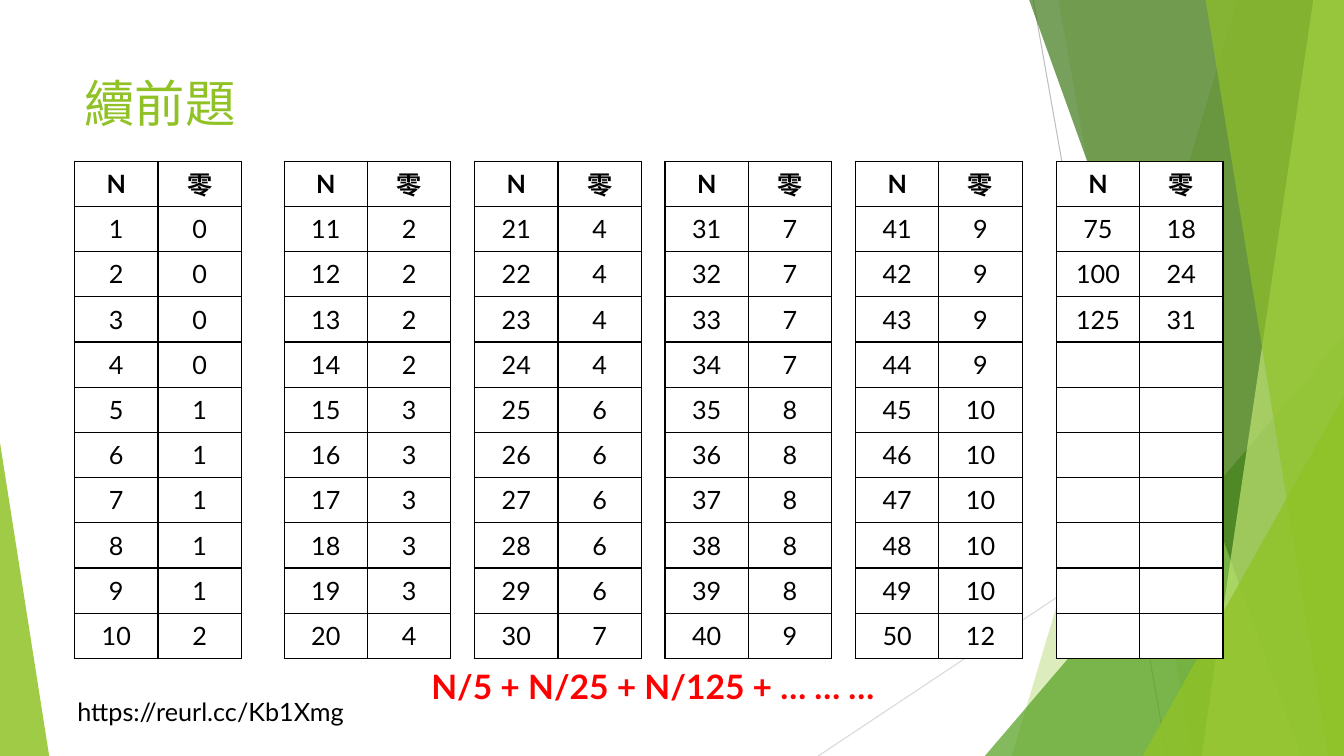
"""Build a slide of trailing zero counts of N factorial."""
from pptx import Presentation
from pptx.dml.color import RGBColor
from pptx.enum.shapes import MSO_CONNECTOR, MSO_SHAPE
from pptx.enum.text import MSO_ANCHOR, PP_ALIGN
from pptx.oxml.ns import qn
from pptx.util import Cm, Pt
from lxml import etree

STRAIGHT = MSO_CONNECTOR.STRAIGHT
TRIANGLE = MSO_SHAPE.ISOSCELES_TRIANGLE
MIDDLE = MSO_ANCHOR.MIDDLE
CENTER = PP_ALIGN.CENTER

BLACK = RGBColor(0x00, 0x00, 0x00)
WHITE = RGBColor(0xFF, 0xFF, 0xFF)
RED = RGBColor(0xFF, 0x00, 0x00)
GRAY = RGBColor(0xBF, 0xBF, 0xBF)
LIGHT_GRAY = RGBColor(0xD9, 0xD9, 0xD9)
GREEN = RGBColor(0x90, 0xC2, 0x26)
MID_GREEN = RGBColor(0x54, 0xA0, 0x21)
DARK_GREEN = RGBColor(0x3F, 0x78, 0x19)
PALE_GREEN = RGBColor(0xC0, 0xE4, 0x74)

WIDTH, HEIGHT = 33.87, 19.05
TABLE_TOP, COLUMN_WIDTH, ROW_HEIGHT = 4.06, 2.1, 1.14
ROWS = 11


class Page:
    def __init__(self, deck, font_name):
        self.shapes = deck.slides.add_slide(deck.slide_layouts[6]).shapes
        self.font_name = font_name

    def add_span(self, frame, text, size, color, bold=False):
        para = frame.paragraphs[0]
        span = para.add_run()
        span.text = text
        formats = {"name": self.font_name, "size": Pt(size), "bold": bold}
        for name, value in formats.items():
            setattr(span.font, name, value)
        span.font.color.rgb = color
        return para

    def text(self, left, top, width, height, text, size, color, bold=False):
        box = self.shapes.add_textbox(Cm(left), Cm(top), Cm(width), Cm(height))
        box.text_frame.word_wrap = True
        self.add_span(box.text_frame, text, size, color, bold)

    def line(self, start, end, color):
        points = [Cm(value) for value in (*start, *end)]
        line = self.shapes.add_connector(STRAIGHT, *points)
        line.line.color.rgb = color
        line.line.width = Pt(0.75)
        etree.SubElement(line.element.spPr, qn("a:effectLst"))

    def tint(self, shape, color, opacity):
        shape.shadow.inherit = False
        shape.fill.solid()
        shape.fill.fore_color.rgb = color
        shape.line.fill.background()
        tone = shape.element.spPr.find(".//" + qn("a:srgbClr"))
        etree.SubElement(tone, qn("a:alpha"), val=str(opacity * 1000))

    def band(self, top_left, bottom_left, color, opacity):
        top = Cm(-0.02)
        outline = self.shapes.build_freeform(Cm(top_left), top)
        corners = [(WIDTH, -0.02), (WIDTH, HEIGHT), (bottom_left, HEIGHT)]
        outline.add_line_segments([(Cm(x), Cm(y)) for x, y in corners])
        self.tint(outline.convert_to_shape(), color, opacity)

    def triangle(self, left, top, width, peak, color, opacity):
        shape = self.shapes.add_shape(
            TRIANGLE, Cm(left), Cm(top), Cm(width), Cm(HEIGHT - top))
        shape.adjustments[0] = peak
        self.tint(shape, color, opacity)

    def cell(self, cell, text, bold):
        formats = {"vertical_anchor": MIDDLE,
                   "margin_top": Cm(0.05), "margin_bottom": Cm(0.05)}
        for name, value in formats.items():
            setattr(cell, name, value)
        properties = cell._tc.get_or_add_tcPr()
        for side in ("a:lnL", "a:lnR", "a:lnT", "a:lnB"):
            border = etree.SubElement(properties, qn(side), w=str(Pt(1)))
            paint = etree.SubElement(border, qn("a:solidFill"))
            etree.SubElement(paint, qn("a:srgbClr"), val=str(BLACK))
        cell.fill.solid()
        cell.fill.fore_color.rgb = WHITE
        if text:
            para = self.add_span(cell.text_frame, text, 18, BLACK, bold)
            para.alignment = CENTER

    def table(self, left, numbers):
        table = self.shapes.add_table(
            ROWS, 2, Cm(left), Cm(TABLE_TOP),
            Cm(2 * COLUMN_WIDTH), Cm(ROWS * ROW_HEIGHT)).table
        table.horz_banding = False
        for column in table.columns:
            column.width = Cm(COLUMN_WIDTH)
        for row in table.rows:
            row.height = Cm(ROW_HEIGHT)
        rows = [("N", "零")]
        rows += [(str(n), str(trailing_zeros(n))) for n in numbers]
        rows += [("", "")] * (ROWS - len(rows))
        for row, texts in enumerate(rows):
            for column, text in enumerate(texts):
                self.cell(table.cell(row, column), text, row == 0)


def trailing_zeros(number):
    return number // 5 + number // 25 + number // 125


def main():
    deck = Presentation()
    deck.slide_width, deck.slide_height = Cm(WIDTH), Cm(HEIGHT)
    page = Page(deck, "Lato")

    page.line((26.04, 0), (29.41, HEIGHT), GRAY)
    page.line((WIDTH, 10.24), (20.62, HEIGHT), LIGHT_GRAY)
    page.band(31.19, 25.5, GREEN, 30)
    page.band(26.67, 30.05, GREEN, 20)
    page.triangle(24.82, 8.46, 9.05, 1, MID_GREEN, 72)
    page.band(25.93, 32.79, DARK_GREEN, 70)
    page.band(33.1, 30.28, PALE_GREEN, 70)
    page.band(30.38, 33.48, GREEN, 65)
    page.triangle(28.8, 9.98, 5.07, 1, GREEN, 80)
    page.triangle(0, 11.15, 1.24, 0, GREEN, 85)

    page.text(1.7, 17.42, 7.77, 1.02, "https://reurl.cc/Kb1Xmg", 18, BLACK)
    page.text(1.88, 1.7, 23.88, 3.66, "續前題", 36, GREEN)
    page.text(10.62, 16.66, 11.8, 1.27,
              "N/5 + N/25 + N/125 + … … …", 24, RED, True)

    page.table(1.88, range(1, 11))
    for index in range(4):
        first = 11 + 10 * index
        page.table(7.16 + 4.8 * index, range(first, first + 10))
    page.table(26.62, (75, 100, 125))

    deck.save("out.pptx")


if __name__ == "__main__":
    main()
